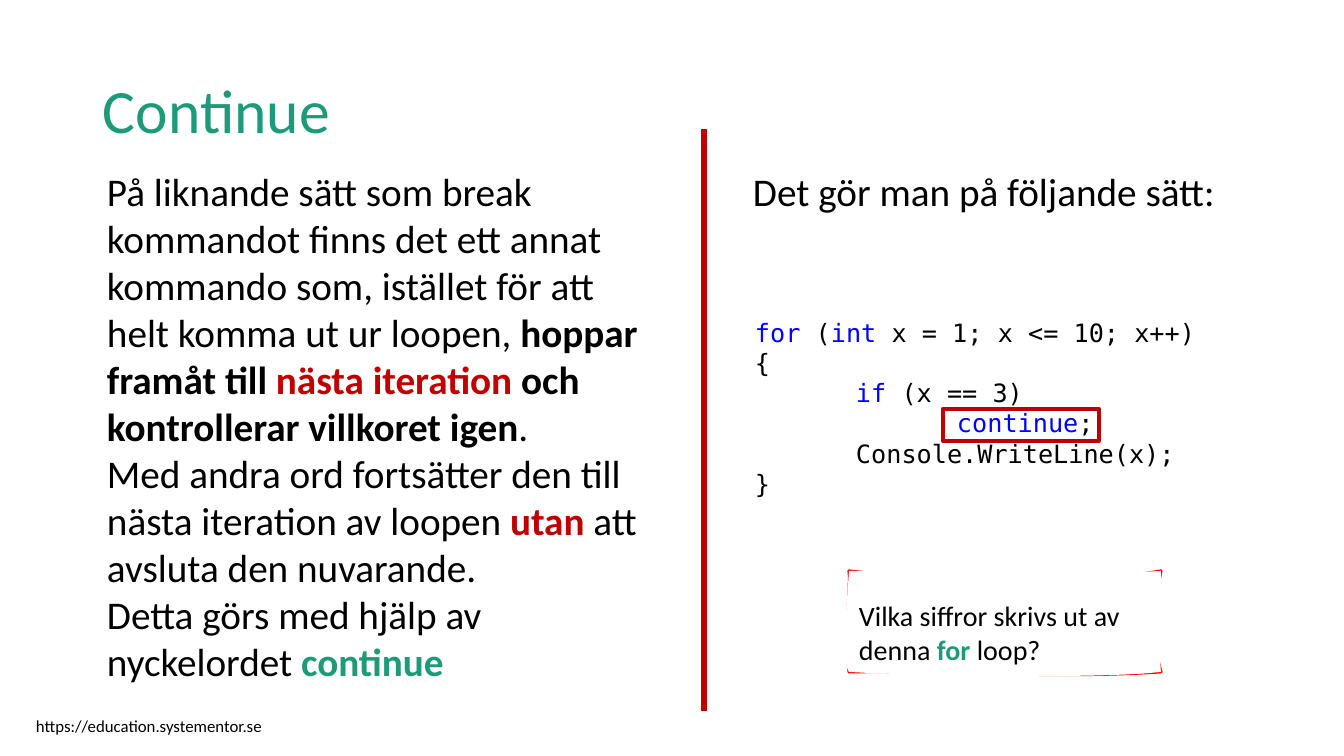
from dataclasses import dataclass
from typing import Optional

from pptx import Presentation
from pptx import util as u
from pptx.dml.color import RGBColor
from pptx.enum import shapes, text
from pptx.oxml.ns import qn

SLIDE_W, SLIDE_H = 1344, 756
SCALE = 12192000 / SLIDE_W  # EMU per px
CURVE_STEPS = 12


@dataclass(frozen=True)
class Theme:
    sans: str = "Calibri"
    mono: str = "DejaVu Sans Mono"
    black: str = "000000"
    white: str = "FFFFFF"
    green: str = "1D9A78"
    red: str = "C00000"
    sketch_red: str = "FF0000"
    keyword: str = "0000FF"
    title_pt: int = 44
    body_pt: int = 28
    question_pt: int = 20
    code_pt: int = 18
    footer_pt: int = 12


T = Theme()


@dataclass(frozen=True)
class Run:
    text: str
    color: str = T.black
    bold: bool = False


@dataclass(frozen=True)
class Box:
    left: int
    top: int
    width: int
    height: int
    paragraphs: list[list[Run]]
    size: int
    font: str = T.sans
    inset: tuple[int, int] = (10, 5)
    tabs: tuple[int, ...] = ()


def px(n: float) -> int:
    return u.Emu(round(n * SCALE))


def place(sp, left: int, top: int, width: int, height: int) -> None:
    values = {"left": left, "top": top, "width": width, "height": height}
    for name, value in values.items():
        setattr(sp, name, px(value))


def add_tabs(p, stops: tuple[int, ...]) -> None:
    p_pr = p._p.get_or_add_pPr()
    tab_list = p_pr.makeelement(qn("a:tabLst"), {})
    for stop in stops:
        tab_list.append(p_pr.makeelement(qn("a:tab"), {"pos": str(px(stop)), "algn": "l"}))
    p_pr.append(tab_list)


def fill_text(tf, paragraphs: list[list[Run]], size: int, font: str = T.sans,
              anchor=text.MSO_ANCHOR.TOP, spacing: Optional[float] = None,
              tabs: tuple[int, ...] = ()) -> None:
    frame = {"word_wrap": True, "auto_size": text.MSO_AUTO_SIZE.NONE,
             "vertical_anchor": anchor}
    for name, value in frame.items():
        setattr(tf, name, value)
    for i, runs in enumerate(paragraphs):
        p = tf.paragraphs[0] if i == 0 else tf.add_paragraph()
        if tabs:
            add_tabs(p, tabs)
        p.alignment = text.PP_ALIGN.LEFT
        if spacing:
            p.line_spacing = spacing
        for run in runs:
            r = p.add_run()
            r.text = run.text
            for name, value in {"name": font, "size": u.Pt(size), "bold": run.bold}.items():
                setattr(r.font, name, value)
            r.font.color.rgb = RGBColor.from_string(run.color)


def set_margins(tf, left: int, top: int, right: int, bottom: int) -> None:
    values = {"left": left, "top": top, "right": right, "bottom": bottom}
    for side, value in values.items():
        setattr(tf, f"margin_{side}", value)


def add_box(slide, box: Box) -> None:
    sp = slide.shapes.add_textbox(0, 0, 0, 0)
    place(sp, box.left, box.top, box.width, box.height)
    x, y = map(px, box.inset)
    set_margins(sp.text_frame, x, y, x, y)
    fill_text(sp.text_frame, box.paragraphs, box.size, box.font, tabs=box.tabs)


def paint(sp, fill: Optional[str] = None, line: Optional[str] = None,
          width: float = 0) -> None:
    sp.shadow.inherit = False
    if fill:
        sp.fill.solid()
        sp.fill.fore_color.rgb = RGBColor.from_string(fill)
    else:
        sp.fill.background()
    if line:
        sp.line.color.rgb = RGBColor.from_string(line)
        sp.line.width = u.Pt(width)
    else:
        sp.line.fill.background()


def add_curve(slide, start: tuple[int, int], curves: list[tuple[int, ...]]):
    """Closed outline of cubic curves, each (x1, y1, x2, y2, x3, y3)."""
    points, (x0, y0) = [], start
    for x1, y1, x2, y2, x3, y3 in curves:
        for i in range(1, CURVE_STEPS + 1):
            t = i / CURVE_STEPS
            a, b, c, d = (1 - t) ** 3, 3 * t * (1 - t) ** 2, 3 * t * t * (1 - t), t ** 3
            points.append((px(a * x0 + b * x1 + c * x2 + d * x3),
                           px(a * y0 + b * y1 + c * y2 + d * y3)))
        x0, y0 = x3, y3
    builder = slide.shapes.build_freeform(px(start[0]), px(start[1]), scale=1.0)
    builder.add_line_segments(points, close=True)
    return builder.convert_to_shape()


BODY = Box(94, 160, 574, 529, [
    [Run("På liknande sätt som break kommandot finns det ett annat kommando som, "
         "istället för att helt komma ut ur loopen, "),
     Run("hoppar framåt till ", bold=True), Run("nästa iteration ", T.red, True),
     Run("och kontrollerar villkoret igen", bold=True), Run(".")],
    [Run("Med andra ord fortsätter den till nästa iteration av loopen "),
     Run("utan", T.red, True), Run(" att avsluta den nuvarande.")],
    [Run("Detta görs med hjälp av nyckelordet "), Run("continue", T.green, True)],
], T.body_pt, inset=(13, 7))

CODE = Box(745, 312, 580, 194, [
    [Run("for", T.keyword), Run(" ("), Run("int", T.keyword),
     Run(" x = 1; x <= 10; x++)")],
    [Run("{")],
    [Run("\tif", T.keyword), Run(" (x == 3)")],
    [Run("\t\tcontinue", T.keyword), Run(";")],
    [Run("\tConsole.WriteLine(x);")],
    [Run("}")],
], T.code_pt, T.mono, tabs=(101, 202))

LEAD = Box(740, 160, 547, 79, [[Run("Det gör man på följande sätt:")]],
           T.body_pt, inset=(13, 7))
FOOTER = Box(26, 711, 393, 30, [[Run("https://education.systementor.se")]], T.footer_pt)

QUESTION = [[Run("Vilka siffror skrivs ut av denna "), Run("for", T.green, True),
             Run(" loop?")]]
CORNER = (849, 571)
SKETCH_LINE = [(938, 582, 1110, 582, 1161, 571), (1153, 611, 1154, 649, 1161, 672),
               (1060, 679, 928, 670, 849, 672), (845, 630, 851, 585, *CORNER)]
SKETCH_FILL = [(936, 570, 1103, 575, 1161, 571), (1162, 588, 1158, 636, 1161, 672),
               (1104, 679, 914, 676, 849, 672), (841, 659, 846, 619, *CORNER)]


def main() -> None:
    prs = Presentation()
    prs.slide_width, prs.slide_height = px(SLIDE_W), px(SLIDE_H)
    slide = prs.slides.add_slide(prs.slide_layouts[5])

    # Title
    title = slide.shapes.title
    place(title, 93, 41, 1159, 146)
    set_margins(title.text_frame, px(10), px(5), px(10), px(5))
    fill_text(title.text_frame, [[Run("Continue", T.green)]], T.title_pt,
              anchor=text.MSO_ANCHOR.MIDDLE, spacing=0.9)

    # Text columns, code and footer
    for box in (FOOTER, BODY, CODE, LEAD):
        add_box(slide, box)

    # Column divider
    divider = slide.shapes.add_connector(
        shapes.MSO_CONNECTOR.STRAIGHT, px(704), px(129), px(704), px(711))
    divider.line.color.rgb = RGBColor.from_string(T.red)
    divider.line.width = u.Pt(4.5)
    sp_pr = divider._element.spPr
    sp_pr.append(sp_pr.makeelement(qn("a:effectLst"), {}))

    # Hand-drawn question card: the white face covers most of its red outline
    paint(add_curve(slide, CORNER, SKETCH_LINE), line=T.sketch_red, width=2.25)
    card = add_curve(slide, CORNER, SKETCH_FILL)
    paint(card, fill=T.white)
    set_margins(card.text_frame, px(859) - card.left, px(599) - card.top, px(10), 0)
    fill_text(card.text_frame, QUESTION, T.question_pt)

    # Frame around the continue statement
    frame = slide.shapes.add_shape(shapes.MSO_SHAPE.RECTANGLE, 0, 0, 0, 0)
    place(frame, 943, 409, 156, 32)
    paint(frame, line=T.red, width=3)

    prs.save("out.pptx")


if __name__ == "__main__":
    main()
